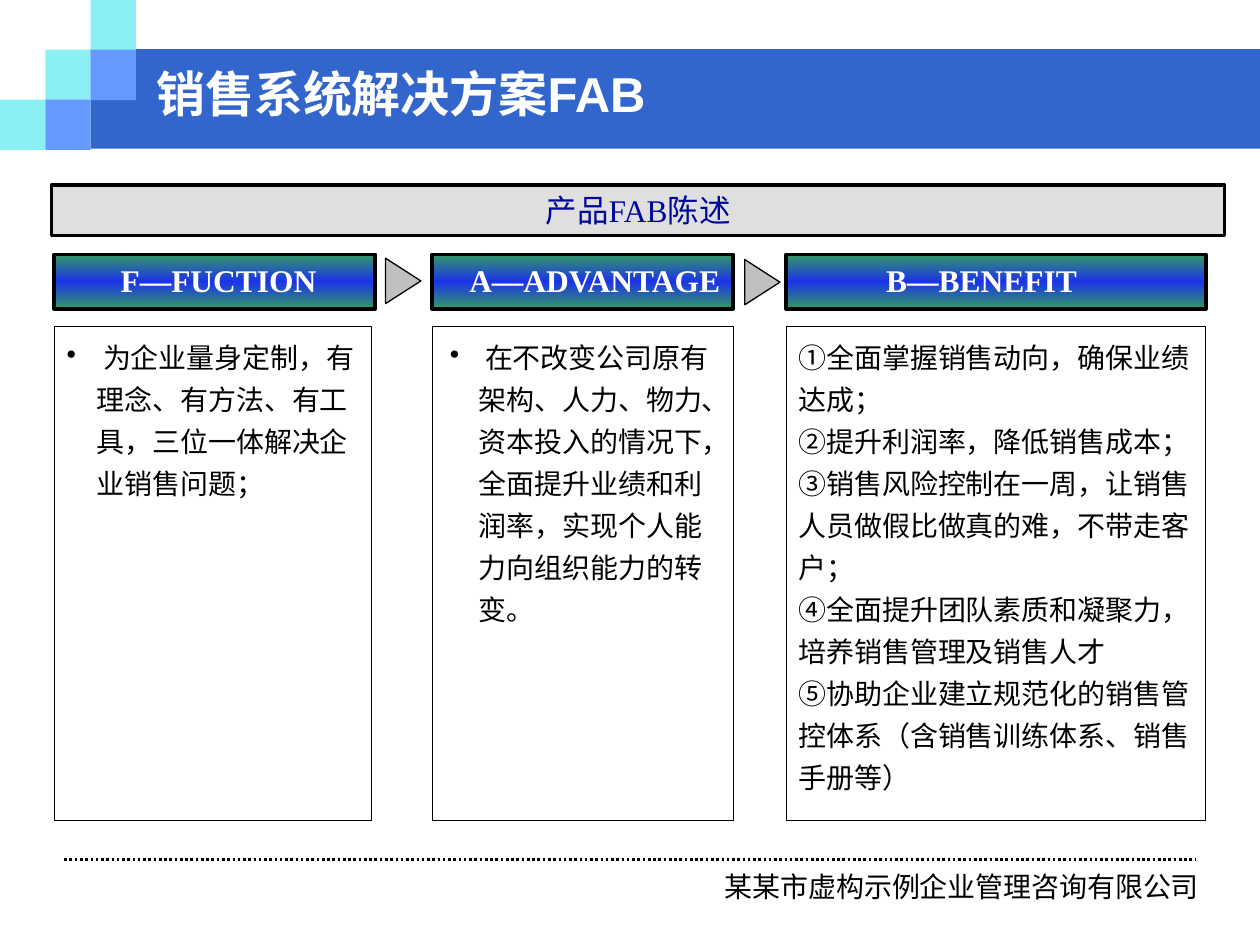
"""Build the FAB sales solution slide."""
from copy import deepcopy
from pptx import Presentation, util as u
from pptx.dml.color import RGBColor
from pptx.enum import dml, shapes, text
from pptx.oxml import ns, xmlchemy as xc

BLUE = RGBColor(0x33, 0x66, 0xCC)
SKY = RGBColor(0x66, 0x99, 0xFF)
AQUA = RGBColor(0x8C, 0xEF, 0xF4)
GREEN = RGBColor(0x33, 0x99, 0x66)
ROYAL = RGBColor(0x1B, 0x33, 0xE7)
NAVY = RGBColor(0x00, 0x07, 0x98)
GREY = RGBColor(0xC0, 0xC0, 0xC0)
BLACK = RGBColor(0, 0, 0)
WHITE = RGBColor(255, 255, 255)
SERIF, SANS, HAN = "Times New Roman", "Arial", "Noto Sans CJK SC"
RECT = shapes.MSO_SHAPE.RECTANGLE
TOP, MID = text.MSO_ANCHOR.TOP, text.MSO_ANCHOR.MIDDLE
LEFT, MIDST, RIGHT = text.PP_ALIGN.LEFT, text.PP_ALIGN.CENTER, text.PP_ALIGN.RIGHT
TILE_W, TILE_H = 0.36, 0.395
HEAD_Y, HEAD_H = 2.02, 0.43
BODY_Y, BODY_H = 2.59, 3.92

TILES = [(0, 2, AQUA), (1, 1, AQUA), (2, 0, AQUA), (2, 1, SKY), (1, 2, SKY)]
COLS = [
    dict(x=0.43, w=2.55, body=2.52, tag=(0.83, 1.81), name="F—FUCTION",
         font=HAN, hang=0.24,
         lines=[" 为企业量身定制，有理念、有方法、有工具，三位一体解决企业销售问题；"]),
    dict(x=3.43, w=2.39, body=2.39, tag=(3.66, 2.12), name="A—ADVANTAGE",
         font=SERIF, hang=0.23, pad=0.14,
         lines=[" 在不改变公司原有架构、人力、物力、资本投入的情况下，"
                "全面提升业绩和利润率，实现个人能力向组织能力的转变。"]),
    dict(x=6.24, w=3.33, body=3.33, tag=(6.73, 2.12), name="B—BENEFIT",
         font=HAN,
         lines=["①全面掌握销售动向，确保业绩达成；",
                "②提升利润率，降低销售成本；",
                "③销售风险控制在一周，让销售人员做假比做真的难，不带走客户；",
                "④全面提升团队素质和凝聚力，培养销售管理及销售人才",
                "⑤协助企业建立规范化的销售管控体系（含销售训练体系、销售手册等）"]),
]


def bullet(para, hang):
    """Give a paragraph a hanging round bullet."""
    props = para._p.get_or_add_pPr()
    props.set("marL", str(u.Inches(hang)))
    props.set("indent", str(-u.Inches(hang)))
    mark = xc.OxmlElement("a:buChar")
    mark.set("char", "•")
    props.append(mark)


def write(shape, lines, size=16, font=SANS, color=BLACK, bold=False, align=LEFT,
          anchor=TOP, pad=(0.1, 0.05, 0.1, 0.05), wrap=True, space=None, hang=0):
    """Fill a shape with formatted paragraphs."""
    frame = shape.text_frame
    frame.word_wrap, frame.vertical_anchor = wrap, anchor
    sides = [u.Inches(p) for p in pad]
    frame.margin_left, frame.margin_top, frame.margin_right, frame.margin_bottom = sides
    for i, line in enumerate(lines):
        para = frame.add_paragraph() if i else frame.paragraphs[0]
        para.alignment = align
        if space:
            para.line_spacing = space
        if hang:
            bullet(para, hang)
        run = para.add_run()
        run.text = line
        run.font.size, run.font.name, run.font.bold = u.Pt(size), font, bold
        run.font.color.rgb = color


def block(slide, x, y, w, h, fill=None, line=0, kind=RECT):
    """Add a preset shape with an optional fill and black outline."""
    shape = slide.shapes.add_shape(kind, *map(u.Inches, (x, y, w, h)))
    shape.shadow.inherit = False
    if fill is None:
        shape.fill.background()
    else:
        shape.fill.solid()
        shape.fill.fore_color.rgb = fill
    if line:
        shape.line.color.rgb = BLACK
        shape.line.width = u.Pt(line)
    else:
        shape.line.fill.background()
    return shape


def label(slide, x, y, w, h, words, **form):
    """Add a text box with one line."""
    box = slide.shapes.add_textbox(*map(u.Inches, (x, y, w, h)))
    write(box, [words], **form)


def shade(shape):
    """Fill a shape with a green, blue, green vertical blend."""
    shape.fill.gradient()
    shape.fill.gradient_angle = 270
    first = shape.fill._fill._gradFill.gsLst[0]
    first.addnext(deepcopy(first))
    for stop, place, color in zip(shape.fill.gradient_stops, (0, 0.5, 1),
                                  (GREEN, ROYAL, GREEN)):
        stop.position = place
        stop.color.rgb = color


def fade(shape, share):
    """Set the opacity of a solid fill."""
    alpha = xc.OxmlElement("a:alpha")
    alpha.set("val", str(int(share * 100000)))
    shape._element.spPr.find(ns.qn("a:solidFill"))[0].append(alpha)


def column(slide, col):
    """Add a heading bar, its name and the framed text below."""
    shade(block(slide, col["x"], HEAD_Y, col["w"], HEAD_H, WHITE, 2.25))
    left, wide = col["tag"]
    label(slide, left, HEAD_Y, wide, 0.32, col["name"], size=18, font=SERIF,
          color=WHITE, bold=True, align=MIDST, pad=(0.02, 0.05, 0.02, 0.05))
    frame = block(slide, col["x"], BODY_Y, col["body"], BODY_H, line=0.75)
    write(frame, col["lines"], font=col["font"], space=1.25,
          hang=col.get("hang", 0), pad=(col.get("pad", 0.1), 0.05, 0.1, 0.05))


def arrow(slide, x, y):
    """Add a triangle that points right."""
    kind = shapes.MSO_SHAPE.ISOSCELES_TRIANGLE
    block(slide, x, y, 0.36, 0.28, GREY, 0.75, kind).rotation = 90


def rule(slide, x, y, end):
    """Add a dotted horizontal line."""
    line = slide.shapes.add_connector(shapes.MSO_CONNECTOR.STRAIGHT,
                                      *map(u.Inches, (x, y, end, y)))
    line.line.color.rgb, line.line.width = BLACK, u.Pt(1.5)
    line.line.dash_style = dml.MSO_LINE.ROUND_DOT
    line._element.spPr.append(xc.OxmlElement("a:effectLst"))


def banner(slide):
    """Add the title band, its tiles and the title."""
    block(slide, 2 * TILE_W, 0.39, 9.29, 0.79, BLUE)
    for col, row, color in TILES:
        block(slide, col * TILE_W, row * TILE_H, TILE_W, 0.4, color)
    title = slide.shapes.title
    title.left, title.top, title.width, title.height = map(
        u.Inches, (1.14, 0.45, 7.58, 0.78))
    write(title, ["销售系统解决方案FAB"], size=28, color=WHITE, bold=True)
    slide.shapes._spTree.append(title._element)


def main():
    """Build and save the slide."""
    deck = Presentation()
    deck.slide_width, deck.slide_height = u.Inches(10), u.Inches(7.5)
    slide = deck.slides.add_slide(deck.slide_layouts[5])
    banner(slide)
    rule(slide, 0.51, 6.82, 9.49)
    label(slide, 5.75, 6.92, 3.77, 0.26, "某某市虚构示例企业管理咨询有限公司",
          align=RIGHT, pad=(0, 0, 0, 0), wrap=False, space=0.97)
    head = block(slide, 0.41, 1.47, 9.31, 0.4, GREY, 2)
    fade(head, 0.5)
    write(head, ["产品FAB陈述"], size=18, font=SERIF, color=NAVY,
          align=MIDST, anchor=MID, wrap=False)
    for col in COLS:
        column(slide, col)
    arrow(slide, 3.02, 2.09)
    arrow(slide, 5.87, 2.1)
    deck.save("out.pptx")


if __name__ == "__main__":
    main()
